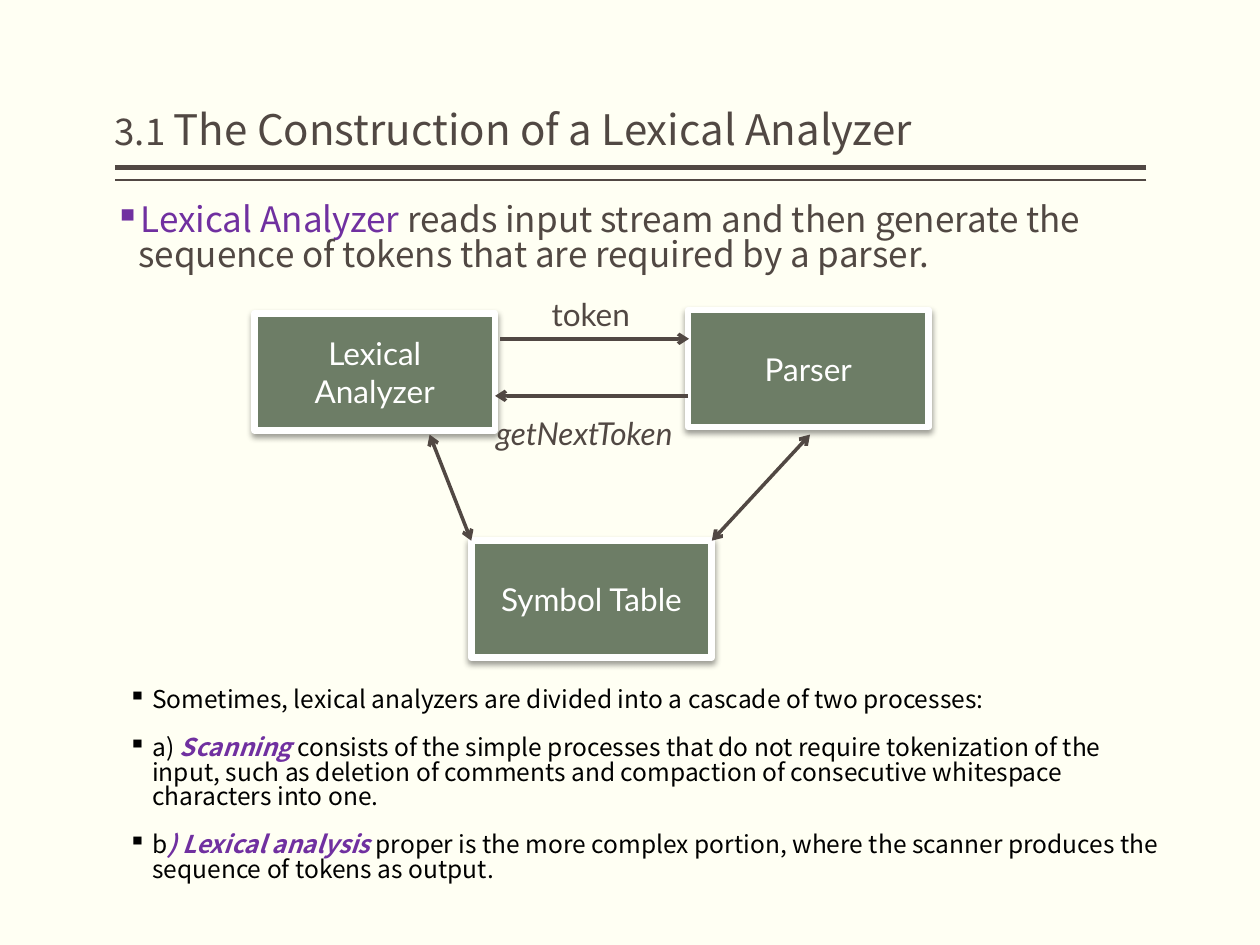
from lxml import etree
from pptx import Presentation
from pptx.dml.color import RGBColor
from pptx.enum.shapes import MSO_CONNECTOR, MSO_SHAPE
from pptx.enum.text import MSO_ANCHOR, MSO_AUTO_SIZE, PP_ALIGN
from pptx.oxml import parse_xml
from pptx.oxml.ns import nsdecls, qn
from pptx.util import Cm, Pt

STRAIGHT = MSO_CONNECTOR.STRAIGHT
RECTANGLE = MSO_SHAPE.RECTANGLE
BOTTOM, MIDDLE = MSO_ANCHOR.BOTTOM, MSO_ANCHOR.MIDDLE
CENTER = PP_ALIGN.CENTER
FIT_SHAPE, NO_FIT = MSO_AUTO_SIZE.SHAPE_TO_FIT_TEXT, MSO_AUTO_SIZE.NONE

CREAM = RGBColor(0xFF, 0xFF, 0xF3)
BROWN = RGBColor(0x51, 0x48, 0x43)
GREEN = RGBColor(0x6D, 0x7D, 0x66)
PURPLE = RGBColor(0x70, 0x30, 0xA0)
WHITE = RGBColor(0xFF, 0xFF, 0xFF)
BLACK = RGBColor(0, 0, 0)
TEXT_FONT, DIAGRAM_FONT = "Noto Sans CJK SC", "Lato"

SHADOW = (
    f'<a:effectLst {nsdecls("a")}><a:outerShdw blurRad="44450" dist="25400" dir="5400000" '
    'algn="ctr" rotWithShape="0"><a:srgbClr val="000000"><a:alpha val="38000"/></a:srgbClr>'
    '</a:outerShdw></a:effectLst>'
)


def add_run(paragraph, text, color, **formats):
    run = paragraph.add_run()
    run.text = text
    run.font.color.rgb = color
    for name, value in formats.items():
        setattr(run.font, name, value)


def add_line(start, end, width, ends=()):
    """Draw a brown line from start to end (cm) with arrowheads at the named ends."""
    line = slide.shapes.add_connector(STRAIGHT, *map(Cm, start + end))
    line.line.color.rgb = BROWN
    line.line.width = Pt(width)
    for name in ends:
        etree.SubElement(line.line._get_or_add_ln(), qn(f"a:{name}"), type="arrow")
    etree.SubElement(line._element.spPr, qn("a:effectLst"))


presentation = Presentation()
presentation.slide_width, presentation.slide_height = Cm(25.4), Cm(19.05)
slide = presentation.slides.add_slide(presentation.slide_layouts[5])
slide.background.fill.solid()
slide.background.fill.fore_color.rgb = CREAM

# Title and the double rule below it
for top, width in ((3.38, 3), (3.63, 1)):
    add_line((23.11, top), (2.31, top), width)

title = slide.shapes.title
title.left, title.top, title.width, title.height = Cm(2.31), Cm(0.2), Cm(20.8), Cm(3.05)
title_format = {"margin_left": 0, "margin_right": 0, "vertical_anchor": BOTTOM,
                "auto_size": NO_FIT, "word_wrap": True}
for name, value in title_format.items():
    setattr(title.text_frame, name, value)
paragraph = title.text_frame.paragraphs[0]
paragraph.alignment = PP_ALIGN.LEFT
paragraph.line_spacing = 0.9
for text, size in (("3.1 ", 21), ("The Construction of a Lexical Analyzer", 24)):
    add_run(paragraph, text, BROWN, name=TEXT_FONT, size=Pt(size))

# Bulleted text above and below the diagram
EMPHASIS = {"bold": True, "italic": True}
bullet_boxes = [
    (2.31, 4.01, 9.98, 20, [
        [("Lexical Analyzer ", PURPLE, {}),
         ("reads input stream and then generate the sequence of tokens "
          "that are required by a parser.", BROWN, {})],
    ]),
    (2.59, 13.77, 5.28, 14, [
        [("Sometimes, lexical analyzers are divided into a cascade of two processes:",
          BLACK, {})],
        [("a) ", BLACK, {}), ("Scanning", PURPLE, EMPHASIS),
         (" consists of the simple processes that do not require tokenization of the "
          "input, such as deletion of comments and compaction of consecutive whitespace "
          "characters into one.", BLACK, {})],
        [("b", BLACK, {}), (") Lexical analysis ", PURPLE, EMPHASIS),
         ("proper is the more complex portion, where the scanner produces the sequence "
          "of tokens as output.", BLACK, {})],
    ]),
]
for left, top, height, size, bullets in bullet_boxes:
    box = slide.shapes.add_textbox(Cm(left), Cm(top), Cm(20.8), Cm(height))
    frame = box.text_frame
    frame.word_wrap = True
    frame.margin_left = frame.margin_right = 0
    for index, runs in enumerate(bullets):
        paragraph = frame.add_paragraph() if index else frame.paragraphs[0]
        properties = paragraph._p.get_or_add_pPr()
        properties.set("marL", str(Cm(0.48)))
        properties.set("indent", str(-Cm(0.48)))
        etree.SubElement(properties, qn("a:buChar"), char="▪")
        paragraph.line_spacing = 0.83
        if index:
            paragraph.space_before = Pt(13.5)
        for text, color, emphasis in runs:
            add_run(paragraph, text, color, name=TEXT_FONT, size=Pt(size), **emphasis)

# Diagram boxes
for text, left, top in (("Lexical Analyzer", 5.13, 6.32), ("Parser", 13.87, 6.25),
                        ("Symbol Table", 9.5, 10.9)):
    shape = slide.shapes.add_shape(RECTANGLE, Cm(left), Cm(top), Cm(4.85), Cm(2.36))
    shape.fill.solid()
    shape.fill.fore_color.rgb = GREEN
    shape.line.color.rgb = WHITE
    shape.line.width = Pt(3.82)
    shape._element.spPr.append(parse_xml(SHADOW))
    shape.text_frame.word_wrap = True
    shape.text_frame.vertical_anchor = MIDDLE
    paragraph = shape.text_frame.paragraphs[0]
    paragraph.alignment = CENTER
    add_run(paragraph, text, WHITE, name=DIAGRAM_FONT, size=Pt(18))

# Arrows between the boxes
ONE_WAY, TWO_WAY = ("tailEnd",), ("headEnd", "tailEnd")
for start, end, ends in (
    ((10.08, 6.83), (13.89, 6.83), ONE_WAY),
    ((13.87, 7.98), (9.98, 7.98), ONE_WAY),
    ((14.35, 10.9), (16.33, 8.76), TWO_WAY),
    ((9.5, 10.9), (8.66, 8.76), TWO_WAY),
):
    add_line(start, end, 2, ends)

# Arrow labels
for text, left, top, width, italic in (("getNextToken", 9.75, 8.23, 4.37, True),
                                       ("token", 10.87, 5.82, 2.11, False)):
    label = slide.shapes.add_textbox(Cm(left), Cm(top), Cm(width), Cm(1.02))
    label.text_frame.word_wrap = False
    label.text_frame.auto_size = FIT_SHAPE
    add_run(label.text_frame.paragraphs[0], text, BROWN, name=DIAGRAM_FONT,
            size=Pt(18), italic=italic)

presentation.save("out.pptx")
